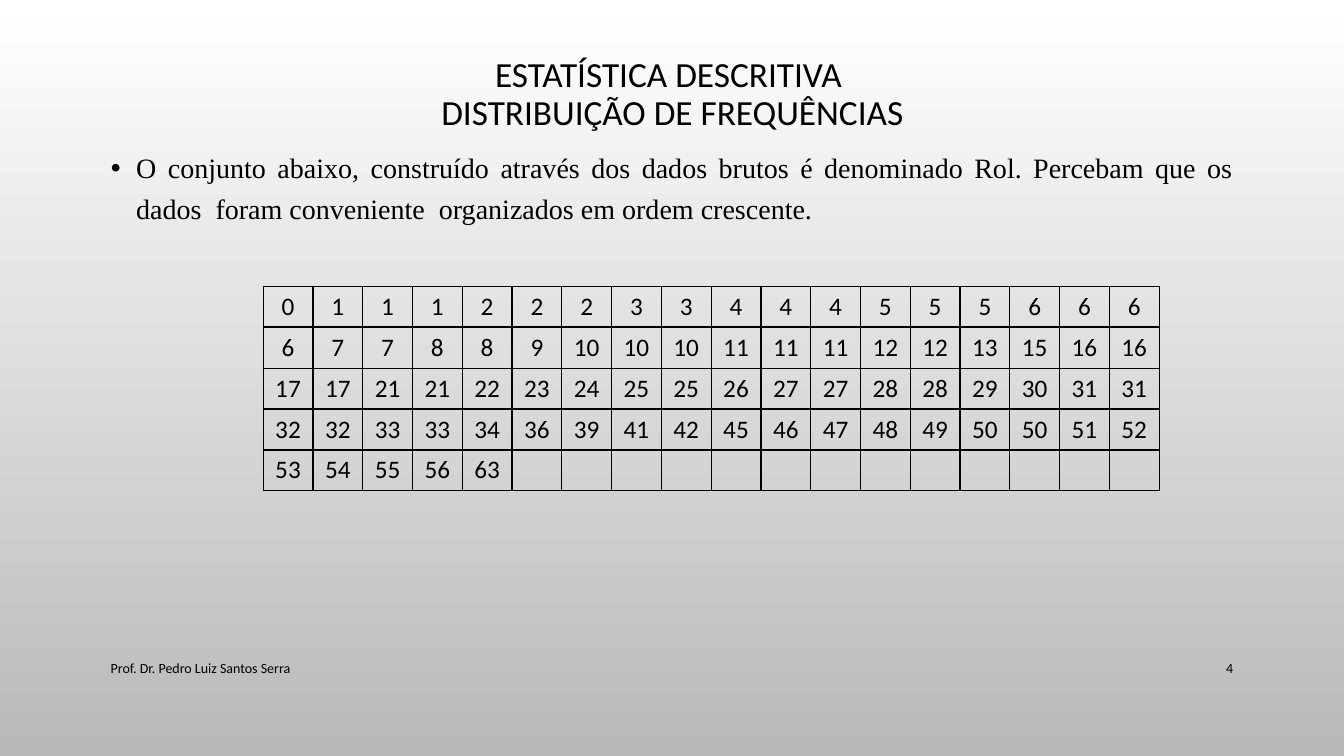
from lxml.etree import SubElement
from pptx import Presentation
from pptx.dml.color import RGBColor
from pptx.enum.text import MSO_ANCHOR, MSO_AUTO_SIZE, PP_ALIGN
from pptx.oxml import parse_xml
from pptx.oxml.ns import nsdecls, qn
from pptx.util import Inches, Pt

WIDE, HIGH = 13.33, 7.5
INK = "000000"
TITLE = "ESTATÍSTICA DESCRITIVA \vDISTRIBUIÇÃO DE FREQUÊNCIAS"
LEAD = ("O conjunto abaixo, construído através dos dados brutos é denominado Rol. "
        "Percebam que os dados  foram conveniente  organizados em ordem crescente.")
COLS = 18
ROL = [0, 1, 1, 1, 2, 2, 2, 3, 3, 4, 4, 4, 5, 5, 5, 6, 6, 6,
       6, 7, 7, 8, 8, 9, 10, 10, 10, 11, 11, 11, 12, 12, 13, 15, 16, 16,
       17, 17, 21, 21, 22, 23, 24, 25, 25, 26, 27, 27, 28, 28, 29, 30, 31, 31,
       32, 32, 33, 33, 34, 36, 39, 41, 42, 45, 46, 47, 48, 49, 50, 50, 51, 52,
       53, 54, 55, 56, 63]


def color(code):
    return RGBColor.from_string(code)


def place(shape, box):
    shape.left, shape.top, shape.width, shape.height = map(Inches, box)


def style(para, size, align, font="Calibri"):
    para.alignment = align
    for run in para.runs:
        run.font.size = Pt(size)
        run.font.name = font
        run.font.color.rgb = color(INK)


def backdrop(slide):
    fill = slide.background.fill
    fill.gradient()
    fill.gradient_angle = 270
    for stop, code in zip(fill.gradient_stops, ("FFFFFF", "B9B9B9")):
        stop.color.rgb = color(code)


def heading(slide, box):
    shape = slide.shapes.title
    place(shape, box)
    frame = shape.text_frame
    frame.text = TITLE
    frame.auto_size = MSO_AUTO_SIZE.NONE
    frame.vertical_anchor = MSO_ANCHOR.MIDDLE
    para = frame.paragraphs[0]
    para.line_spacing = 0.9
    style(para, 25.2, PP_ALIGN.CENTER)


def lead(slide, box):
    shape = slide.placeholders[1]
    place(shape, box)
    frame = shape.text_frame
    frame.text = LEAD
    frame.auto_size = MSO_AUTO_SIZE.NONE
    para = frame.paragraphs[0]
    para.line_spacing = 1.2
    para.space_before = Pt(10)
    style(para, 20, PP_ALIGN.JUSTIFY, "Times New Roman")
    # Hanging bullet
    props = para._p.get_or_add_pPr()
    props.set("marL", str(Inches(0.25)))
    props.set("indent", str(-Inches(0.25)))
    SubElement(props, qn("a:buFont")).set("typeface", "Arial")
    SubElement(props, qn("a:buChar")).set("char", "•")


def border(cell, sides):
    props = cell._tc.get_or_add_tcPr()
    for spot, (side, width) in enumerate(sides.items()):
        props.insert(spot, parse_xml(
            f'<a:ln{side} {nsdecls("a")} w="{Pt(width)}"><a:solidFill>'
            f'<a:srgbClr val="{INK}"/></a:solidFill></a:ln{side}>'))


def grid(slide, box):
    rows = -(-len(ROL) // COLS)
    table = slide.shapes.add_table(rows, COLS, *map(Inches, box)).table
    table.first_row = table.horz_banding = False
    for spot, cell in enumerate(table.iter_cells()):
        row = spot // COLS
        cell.fill.background()
        # The first row is ruled off by a thicker line
        border(cell, {"L": 1, "R": 1, "T": 2 if row == 1 else 1,
                      "B": 2 if row == 0 else 1})
        if spot < len(ROL):
            cell.text = str(ROL[spot])
            style(cell.text_frame.paragraphs[0], 18, PP_ALIGN.CENTER)


def note(slide, box, text, align):
    frame = slide.shapes.add_textbox(*map(Inches, box)).text_frame
    frame.word_wrap = True
    frame.vertical_anchor = MSO_ANCHOR.MIDDLE
    frame.text = text
    style(frame.paragraphs[0], 10, align)


def footer(slide, box):
    left, top, width, height = box
    page = 0.84
    note(slide, (left, top, 7.3, height),
         "Prof. Dr. Pedro Luiz Santos Serra", PP_ALIGN.LEFT)
    note(slide, (left + width - page, top, page, height), "4", PP_ALIGN.RIGHT)


def main():
    deck = Presentation()
    deck.slide_width, deck.slide_height = Inches(WIDE), Inches(HIGH)
    slide = deck.slides.add_slide(deck.slide_layouts[1])
    edge = 1
    span = WIDE - 2 * edge
    backdrop(slide)
    heading(slide, (3.49, 0.51, 6.36, 0.87))
    lead(slide, (edge, 1.38, span, 4.95))
    footer(slide, (edge, 6.43, span, 0.4))
    grid(slide, (2.61, 2.84, 8.89, 2.03))
    deck.save("out.pptx")


if __name__ == "__main__":
    main()
